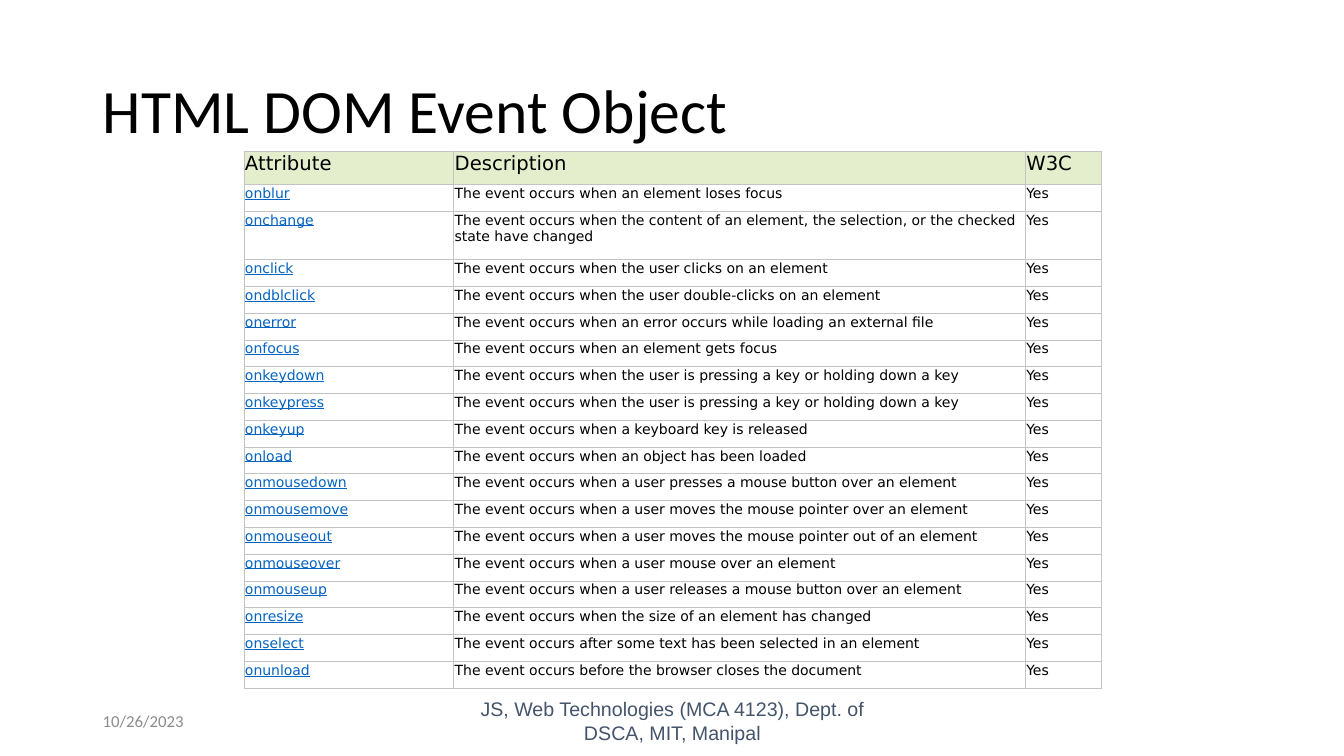
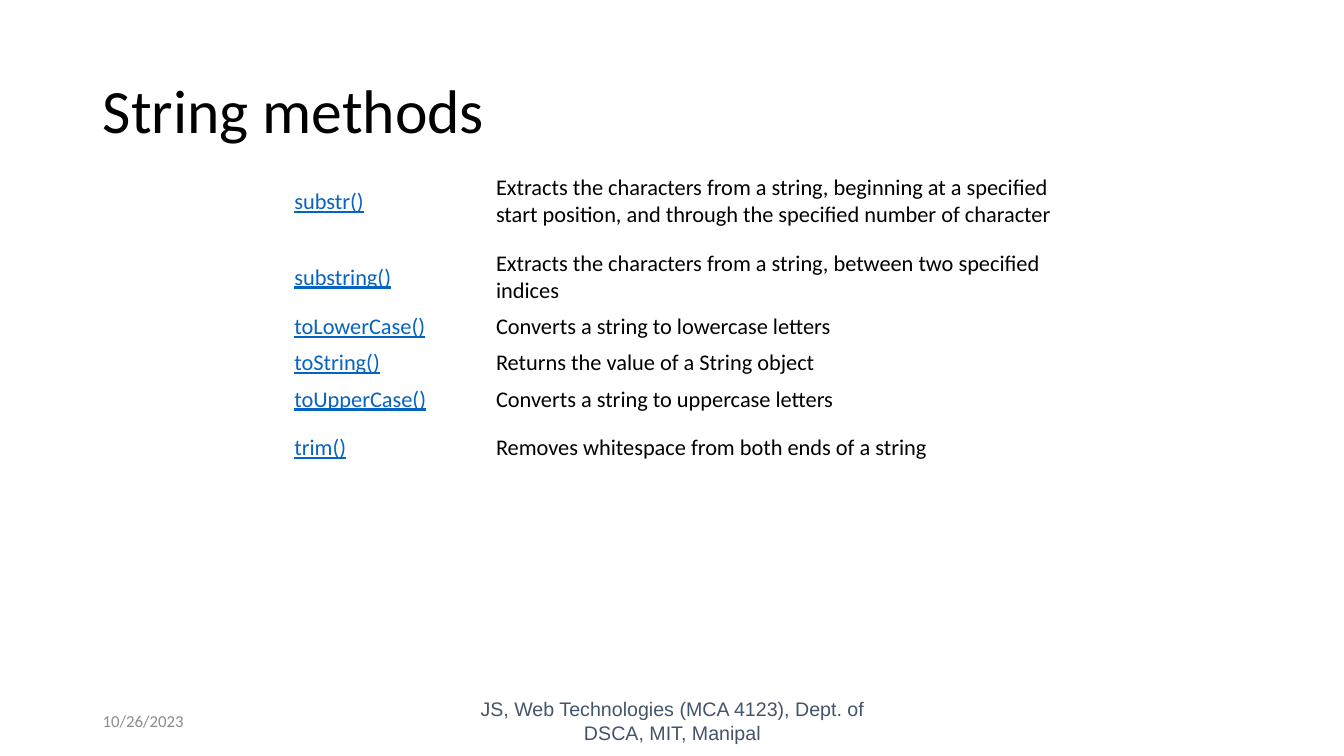
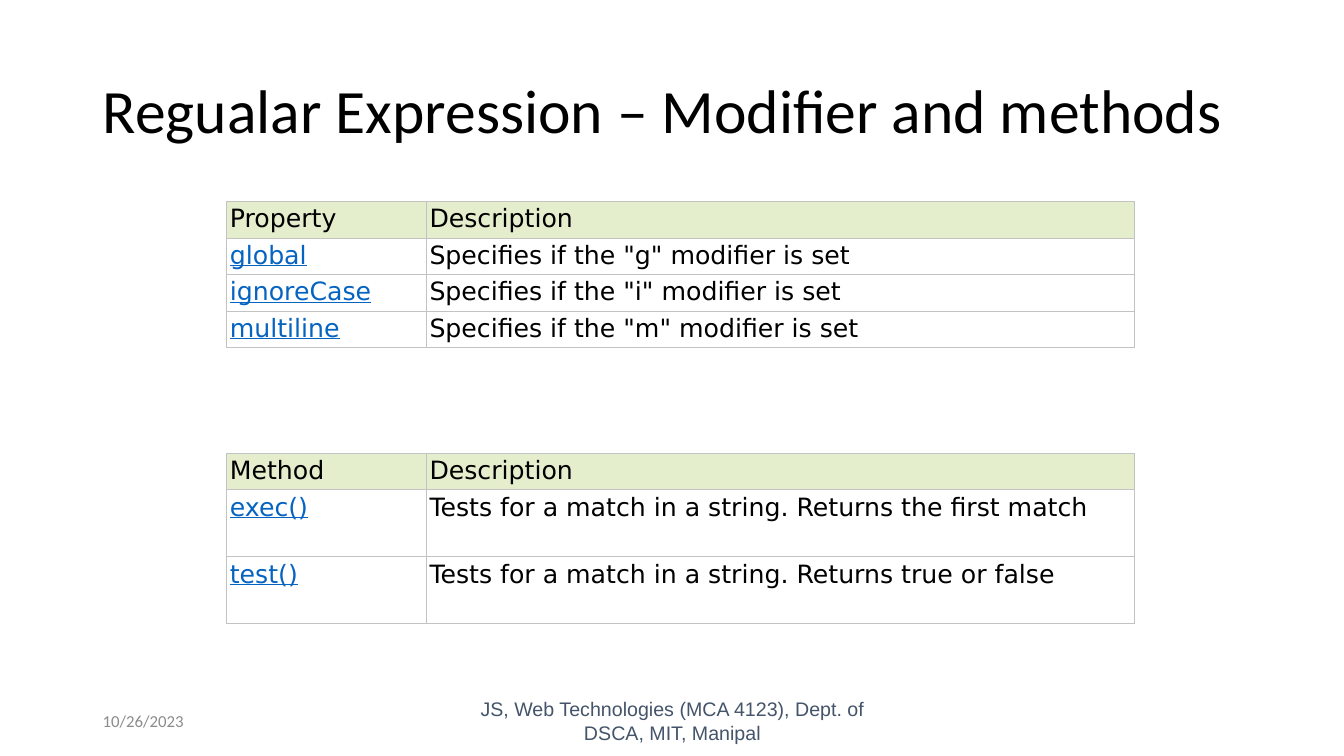
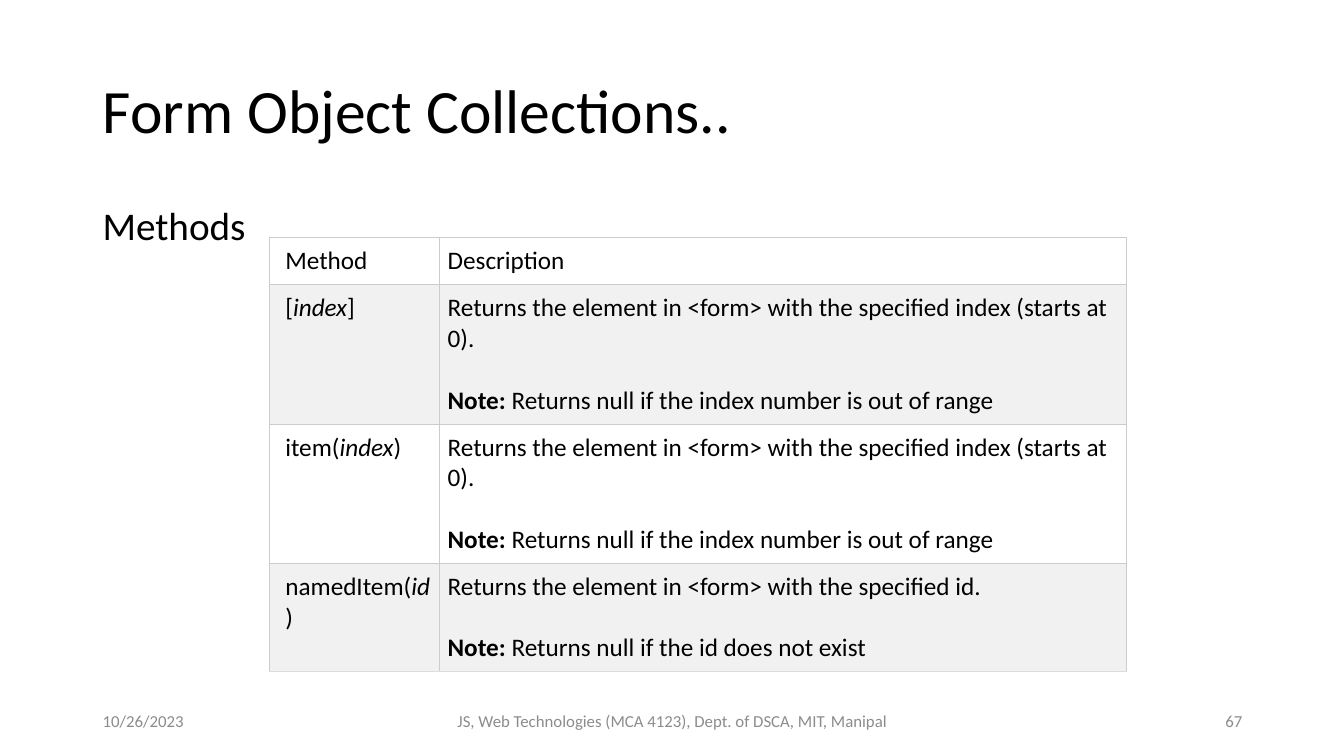
"""Build four slides of JavaScript reference tables."""
from collections import namedtuple
from dataclasses import dataclass

from lxml import etree
from pptx import Presentation
from pptx.dml.color import RGBColor
from pptx.enum.text import MSO_ANCHOR, MSO_AUTO_SIZE, PP_ALIGN
from pptx.oxml.ns import qn
from pptx.util import Inches, Pt

LEFT, CENTER, RIGHT = PP_ALIGN.LEFT, PP_ALIGN.CENTER, PP_ALIGN.RIGHT
TOP, MIDDLE = MSO_ANCHOR.TOP, MSO_ANCHOR.MIDDLE
NO_AUTOFIT = MSO_AUTO_SIZE.NONE

TextStyle = namedtuple("TextStyle", "font size color")
TextBox = namedtuple("TextBox", "text box style align anchor line_spacing space_before",
                     defaults=(LEFT, MIDDLE, None, None))
Table = namedtuple("Table", "box columns fixed_rows cells style fills insets anchor border last_border")
SlideContent = namedtuple("SlideContent", "title texts tables")


@dataclass(frozen=True)
class Theme:
    """Colours and type styles shared by the slides."""
    link: str = "0563C1"
    white: str = "FFFFFF"
    header: str = "E5EECC"
    band: str = "F1F1F1"
    border: str = "C3C3C3"
    light_border: str = "CCCCCC"
    last_border: str = "DDDDDD"
    title: TextStyle = TextStyle("Calibri", 44, "000000")
    body: TextStyle = TextStyle("Calibri", 28, "000000")
    footer: TextStyle = TextStyle("Arial", 14, "44546A")
    small: TextStyle = TextStyle("Calibri", 12, "8C8C8C")
    event_header: TextStyle = TextStyle("DejaVu Sans", 14, "000000")
    event: TextStyle = TextStyle("DejaVu Sans", 10, "000000")
    string: TextStyle = TextStyle("Calibri", 16, "000000")
    expression: TextStyle = TextStyle("DejaVu Sans", 18, "000000")
    form: TextStyle = TextStyle("Calibri", 18, "000000")
    note_gap: int = 22


theme = Theme()


def write_runs(paragraph, runs, style):
    """Add (text, emphasis) runs to a paragraph."""
    for text, emphasis in runs:
        run = paragraph.add_run()
        run.text = text
        run.font.name = style.font
        run.font.size = Pt(style.size)
        run.font.bold = emphasis == "bold"
        run.font.italic = emphasis == "italic"
        run.font.underline = emphasis == "link"
        run.font.color.rgb = RGBColor.from_string(theme.link if emphasis == "link" else style.color)


def reference_cells(header, entries):
    """Turn plain rows into cells of paragraphs, with the first column as links."""
    rows = [[[[(text, "")]] for text in header]] if header else []
    for entry in entries:
        rows.append([[[(text, "" if column else "link")]] for column, text in enumerate(entry)])
    return rows


events = [
    ("onblur", "The event occurs when an element loses focus"),
    ("onchange", "The event occurs when the content of an element, the selection, or the checked state have changed"),
    ("onclick", "The event occurs when the user clicks on an element"),
    ("ondblclick", "The event occurs when the user double-clicks on an element"),
    ("onerror", "The event occurs when an error occurs while loading an external file"),
    ("onfocus", "The event occurs when an element gets focus"),
    ("onkeydown", "The event occurs when the user is pressing a key or holding down a key"),
    ("onkeypress", "The event occurs when the user is pressing a key or holding down a key"),
    ("onkeyup", "The event occurs when a keyboard key is released"),
    ("onload", "The event occurs when an object has been loaded"),
    ("onmousedown", "The event occurs when a user presses a mouse button over an element"),
    ("onmousemove", "The event occurs when a user moves the mouse pointer over an element"),
    ("onmouseout", "The event occurs when a user moves the mouse pointer out of an element"),
    ("onmouseover", "The event occurs when a user mouse over an element"),
    ("onmouseup", "The event occurs when a user releases a mouse button over an element"),
    ("onresize", "The event occurs when the size of an element has changed"),
    ("onselect", "The event occurs after some text has been selected in an element"),
    ("onunload", "The event occurs before the browser closes the document"),
]
string_methods = [
    ("substr()", "Extracts the characters from a string, beginning at a specified start position, "
                 "and through the specified number of character"),
    ("substring()", "Extracts the characters from a string, between two specified indices"),
    ("toLowerCase()", "Converts a string to lowercase letters"),
    ("toString()", "Returns the value of a String object"),
    ("toUpperCase()", "Converts a string to uppercase letters"),
    ("trim()", "Removes whitespace from both ends of a string"),
]
modifiers = [
    ("global", 'Specifies if the "g" modifier is set'),
    ("ignoreCase", 'Specifies if the "i" modifier is set'),
    ("multiline", 'Specifies if the "m" modifier is set'),
]
expression_methods = [
    ("exec()", "Tests for a match in a string. Returns the first match"),
    ("test()", "Tests for a match in a string. Returns true or false"),
]
by_index = ("Returns the element in <form> with the specified index (starts at 0).",
            " Returns null if the index number is out of range")
by_id = ("Returns the element in <form> with the specified id.",
         " Returns null if the id does not exist")
form_cells = reference_cells(("Method", "Description"), [])
for opening, argument, closing, (description, note) in [
    ("[", "index", "]", by_index),
    ("item(", "index", ")", by_index),
    ("namedItem(", "id", ")", by_id),
]:
    form_cells.append([
        [[(opening, ""), (argument, "italic"), (closing, "")]],
        [[(description, "")], [("Note:", "bold"), (note, "")]],
    ])

footer_text = "JS, Web Technologies (MCA 4123), Dept. of DSCA, MIT, Manipal"
footer_box = (4.42, 6.95, 4.5, 0.4)
date = TextBox("10/26/2023", (0.92, 6.95, 3, 0.4), theme.small)
footer = TextBox(footer_text, footer_box, theme.footer, CENTER)
green_header = (theme.header, theme.white, theme.white)
thin_insets = (0.01,) * 4
small_insets = (0.03,) * 4

slides = [
    SlideContent("HTML DOM Event Object", [footer, date], [
        Table((2.42, 1.5, 8.5, 5.33), (2.08, 5.67, 0.75), {0: 0.33, 2: 0.48},
              reference_cells(("Attribute", "Description", "W3C"), [(*event, "Yes") for event in events]),
              (theme.event_header, theme.event), green_header, (thin_insets,) * 3, TOP,
              theme.border, theme.border)]),
    SlideContent("String methods", [footer, date], [
        Table((2.83, 1.56, 7.81, 3.18), (2, 5.81), {0: 0.88, 1: 0.61, 5: 0.61},
              reference_cells(None, string_methods), (theme.string, theme.string), (None,) * 3,
              ((0.09, 0.04, 0.09, 0.04),) * 2, MIDDLE, None, None)]),
    SlideContent("Regualar Expression – Modifier and methods", [footer, date], [
        Table((2.25, top, 9, height), (1.98, 7.02), fixed_rows,
              reference_cells((name, "Description"), entries), (theme.expression, theme.expression),
              green_header, (small_insets,) * 2, TOP, theme.border, theme.border)
        for top, height, fixed_rows, name, entries in [
            (2, 1.45, {}, "Property", modifiers),
            (4.5, 1.69, {0: 0.36}, "Method", expression_methods),
        ]]),
    SlideContent("Form Object Collections..", [
        TextBox("Methods", (0.92, 2, 11.5, 4.76), theme.body, LEFT, TOP, 0.9, 10),
        TextBox(footer_text, footer_box, theme.small, CENTER),
        TextBox("67", (9.42, 6.95, 3, 0.4), theme.small, RIGHT),
        date,
    ], [
        Table((2.67, 2.36, 8.5, 4.29), (1.69, 6.81), {0: 0.46, 3: 1.07}, form_cells,
              (theme.form, theme.form), (theme.white, theme.band, theme.white),
              ((0.16, 0.08, 0.08, 0.08), (0.08,) * 4), TOP, theme.light_border, theme.last_border)]),
]

presentation = Presentation()
presentation.slide_width = Inches(13.33)
presentation.slide_height = Inches(7.5)
title_only = presentation.slide_layouts[5]

for content in slides:
    slide = presentation.slides.add_slide(title_only)
    title = TextBox(content.title, (0.92, 0.4, 11.5, 1.45), theme.title, line_spacing=0.9)
    for item in [title, *content.texts]:
        left, top, width, height = map(Inches, item.box)
        if item is title:
            shape = slide.shapes.title
            shape.left, shape.top, shape.width, shape.height = left, top, width, height
        else:
            shape = slide.shapes.add_textbox(left, top, width, height)
        frame = shape.text_frame
        frame.word_wrap = True
        frame.auto_size = NO_AUTOFIT
        frame.vertical_anchor = item.anchor
        paragraph = frame.paragraphs[0]
        paragraph.alignment = item.align
        paragraph.line_spacing = item.line_spacing
        if item.space_before:
            paragraph.space_before = Pt(item.space_before)
        write_runs(paragraph, [(item.text, "")], item.style)

    for spec_table in content.tables:
        row_count = len(spec_table.cells)
        table = slide.shapes.add_table(row_count, len(spec_table.columns), *map(Inches, spec_table.box)).table
        table.first_row = False
        table.horz_banding = False
        for column, width in zip(table.columns, spec_table.columns):
            column.width = Inches(width)
        free_height = spec_table.box[3] - sum(spec_table.fixed_rows.values())
        even_height = free_height / (row_count - len(spec_table.fixed_rows))
        for row_index, row in enumerate(spec_table.cells):
            table.rows[row_index].height = Inches(spec_table.fixed_rows.get(row_index, even_height))
            style = spec_table.style[min(row_index, 1)]
            fill = spec_table.fills[0 if row_index == 0 else 2 - row_index % 2]
            for column_index, paragraphs in enumerate(row):
                cell = table.cell(row_index, column_index)
                insets = map(Inches, spec_table.insets[column_index])
                cell.margin_left, cell.margin_top, cell.margin_right, cell.margin_bottom = insets
                cell.vertical_anchor = spec_table.anchor
                for index, runs in enumerate(paragraphs):
                    paragraph = cell.text_frame.add_paragraph() if index else cell.text_frame.paragraphs[0]
                    if index:
                        paragraph.space_before = Pt(theme.note_gap)
                    write_runs(paragraph, runs, style)
                properties = cell._tc.get_or_add_tcPr()
                for side in ("lnL", "lnR", "lnT", "lnB"):
                    line = etree.SubElement(properties, qn(f"a:{side}"), w=str(Pt(0.75)))
                    is_last_edge = side == "lnB" and row_index == row_count - 1
                    color = spec_table.last_border if is_last_edge else spec_table.border
                    if color:
                        solid = etree.SubElement(line, qn("a:solidFill"))
                        etree.SubElement(solid, qn("a:srgbClr"), val=color)
                    else:
                        etree.SubElement(line, qn("a:noFill"))
                if fill:
                    cell.fill.solid()
                    cell.fill.fore_color.rgb = RGBColor.from_string(fill)
                else:
                    cell.fill.background()

presentation.save("out.pptx")
